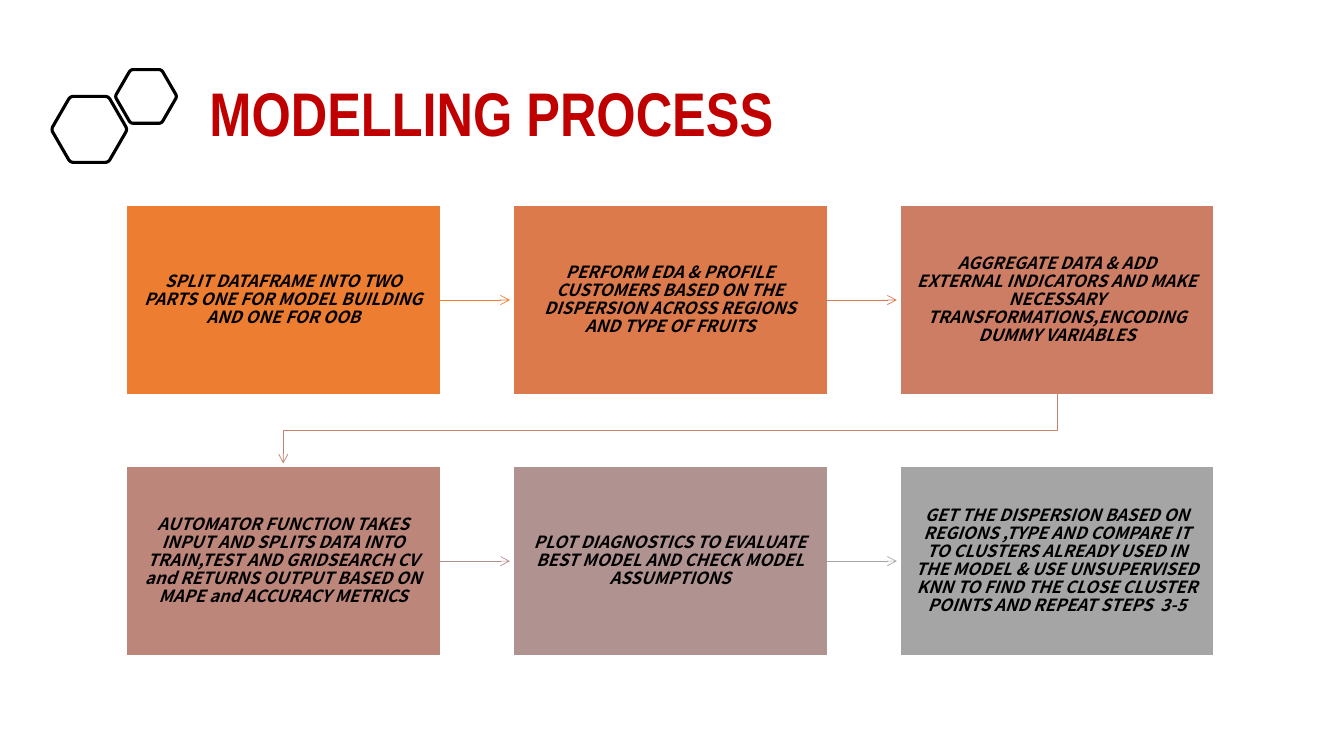
from math import cos, pi, sin

from lxml.etree import SubElement
from pptx import Presentation
from pptx.dml.color import RGBColor
from pptx.enum.shapes import MSO_CONNECTOR, MSO_SHAPE
from pptx.enum.text import MSO_ANCHOR, PP_ALIGN
from pptx.oxml.ns import qn
from pptx.util import Cm, Pt

COLOURS = {
    "title": "C00000",
    "text": "000000",
    "hexagon": "000000",
    "border": "FFFFFF",
}

# Step text, box colour, colour of the arrow to the next step
STEPS = [
    ("SPLIT DATAFRAME INTO TWO PARTS ONE FOR MODEL BUILDING AND ONE FOR OOB",
     "ED7D31", "ED7D31"),
    ("PERFORM EDA & PROFILE CUSTOMERS BASED ON THE DISPERSION ACROSS REGIONS "
     "AND TYPE OF FRUITS", "DC7A4B", "D87A51"),
    ("AGGREGATE DATA & ADD EXTERNAL INDICATORS AND MAKE NECESSARY "
     "TRANSFORMATIONS,ENCODING DUMMY VARIABLES", "CC7D64", "C48170"),
    ("AUTOMATOR FUNCTION TAKES INPUT AND SPLITS DATA INTO TRAIN,TEST AND "
     "GRIDSEARCH CV and RETURNS OUTPUT BASED ON MAPE and ACCURACY METRICS",
     "BD867B", "B4908B"),
    ("PLOT DIAGNOSTICS TO EVALUATE BEST MODEL AND CHECK MODEL ASSUMPTIONS",
     "B09391", "A5A5A5"),
    ("GET THE DISPERSION BASED ON REGIONS ,TYPE AND COMPARE IT TO CLUSTERS "
     "ALREADY USED IN THE MODEL & USE UNSUPERVISED KNN TO FIND THE CLOSE "
     "CLUSTER POINTS AND REPEAT STEPS  3-5", "A5A5A5", None),
]

# Grid of steps
COLUMNS = 3
LEFT, TOP = Cm(3.18), Cm(5.18)
STEP_WIDTH, STEP_HEIGHT = Cm(7.92), Cm(4.76)
PITCH_X, PITCH_Y = Cm(9.75), Cm(6.58)
ARROW_GAP = Cm(0.08)


def write_text(shape, text, *, size, font, colour, italic=False,
               align=PP_ALIGN.LEFT, margins=(0.25, 0.13)):
    frame = shape.text_frame
    frame.word_wrap = True
    frame.vertical_anchor = MSO_ANCHOR.MIDDLE
    frame.margin_left = frame.margin_right = Cm(margins[0])
    frame.margin_top = frame.margin_bottom = Cm(margins[1])
    paragraph = frame.paragraphs[0]
    paragraph.alignment = align
    paragraph.line_spacing = 0.9
    run = paragraph.add_run()
    run.text = text
    run.font.size = Pt(size)
    run.font.name = font
    run.font.bold = True
    run.font.italic = italic
    run.font.color.rgb = RGBColor.from_string(colour)


def set_line(shape, colour, width):
    shape.line.color.rgb = RGBColor.from_string(colour)
    shape.line.width = Pt(width)


def add_arrowhead(arrow):
    SubElement(arrow.line._get_or_add_ln(), qn("a:tailEnd"), type="arrow")


def add_outline(slide, points, colour, width, close):
    builder = slide.shapes.build_freeform(*points[0])
    builder.add_line_segments(points[1:], close=close)
    outline = builder.convert_to_shape()
    outline.shadow.inherit = False
    outline.fill.background()
    set_line(outline, colour, width)
    return outline


def add_hexagon(slide, centre_x, centre_y, radius, cut=0.09, samples=6):
    """Regular hexagon whose corners are rounded by quadratic curves."""
    corners = [(centre_x + radius * cos(i * pi / 3),
                centre_y + radius * sin(i * pi / 3)) for i in range(6)]
    points = []
    for i, corner in enumerate(corners):
        before, after = corners[i - 1], corners[(i + 1) % 6]
        for sample in range(samples + 1):
            t = sample / samples
            points.append(tuple(
                Cm(c + cut * ((1 - t) ** 2 * (b - c) + t ** 2 * (a - c)))
                for b, c, a in zip(before, corner, after)))
    add_outline(slide, points, COLOURS["hexagon"], 2.25, close=True)


def add_step(slide, index, text, colour):
    row, column = divmod(index, COLUMNS)
    step = slide.shapes.add_shape(
        MSO_SHAPE.RECTANGLE, LEFT + column * PITCH_X, TOP + row * PITCH_Y,
        STEP_WIDTH, STEP_HEIGHT)
    step.shadow.inherit = False
    step.fill.solid()
    step.fill.fore_color.rgb = RGBColor.from_string(colour)
    set_line(step, COLOURS["border"], 1)
    write_text(step, text, size=12, font="Noto Sans CJK JP",
               colour=COLOURS["text"], italic=True, align=PP_ALIGN.CENTER,
               margins=(0.38, 0.41))
    return step


def add_arrow_right(slide, step, next_step, colour):
    middle = step.top + step.height // 2
    arrow = slide.shapes.add_connector(
        MSO_CONNECTOR.STRAIGHT, step.left + step.width, middle,
        next_step.left - ARROW_GAP, middle)
    arrow.begin_connect(step, 3)
    set_line(arrow, colour, 0.5)
    add_arrowhead(arrow)
    SubElement(arrow._element.spPr, qn("a:effectLst"))


def add_arrow_to_next_row(slide, step, next_step, colour):
    start_x = step.left + step.width // 2
    end_x = next_step.left + next_step.width // 2
    bottom = step.top + step.height
    turn = (bottom + next_step.top) // 2
    arrow = add_outline(
        slide, [(start_x, bottom), (start_x, turn), (end_x, turn),
                (end_x, next_step.top - ARROW_GAP)],
        colour, 0.5, close=False)
    add_arrowhead(arrow)


def main():
    presentation = Presentation()
    presentation.slide_width, presentation.slide_height = Cm(33.87), Cm(19.05)
    slide = presentation.slides.add_slide(presentation.slide_layouts[6])

    # Title with hexagons
    title = slide.shapes.add_textbox(Cm(5.03), Cm(1.45), Cm(27.46), Cm(2.97))
    write_text(title, "MODELLING PROCESS", size=44, font="Arial Narrow",
               colour=COLOURS["title"])
    add_hexagon(slide, 2.25, 3.26, 0.96)
    add_hexagon(slide, 3.68, 2.43, 0.78)

    # Steps
    steps = [add_step(slide, index, text, colour)
             for index, (text, colour, _) in enumerate(STEPS)]

    # Arrows between steps
    for step, next_step, (_, _, colour) in zip(steps, steps[1:], STEPS):
        same_row = step.top == next_step.top
        add_arrow = add_arrow_right if same_row else add_arrow_to_next_row
        add_arrow(slide, step, next_step, colour)

    presentation.save("out.pptx")


if __name__ == "__main__":
    main()
